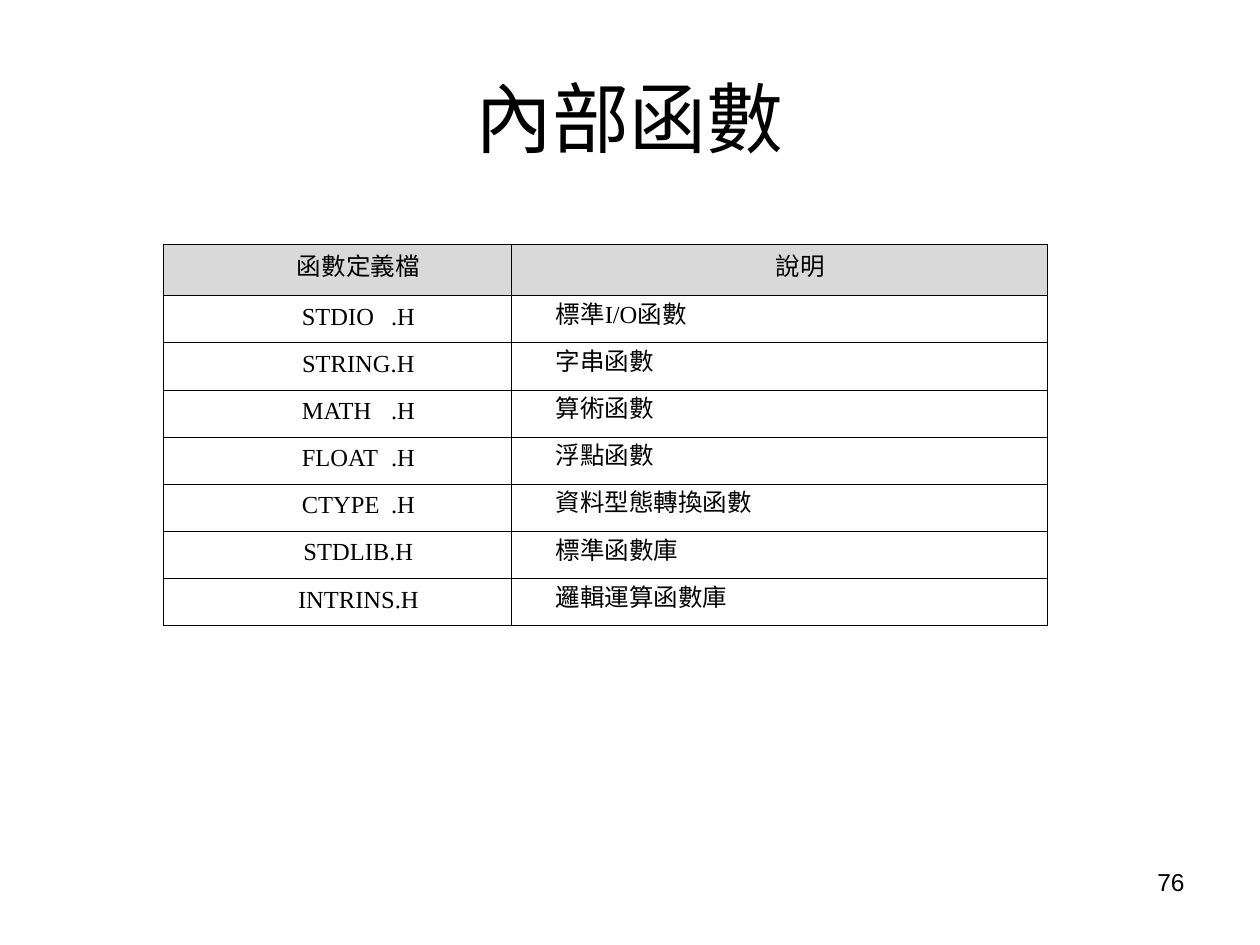
from dataclasses import dataclass
from typing import Optional

import pptx
import pptx.dml.color
import pptx.enum.text
import pptx.oxml.ns
import pptx.util
from lxml import etree
from pptx.util import Cm, Pt

Align = pptx.enum.text.PP_ALIGN
Anchor = pptx.enum.text.MSO_ANCHOR
qn = pptx.oxml.ns.qn


@dataclass(frozen=True)
class Theme:
    ink: str = "000000"
    header_fill: str = "D9D9D9"
    sans: str = "Arial"
    serif: str = "Times New Roman"
    title_size: int = 44
    text_size: int = 14
    border_width: float = 0.45


@dataclass(frozen=True)
class CellStyle:
    font: str
    align: Align
    line_spacing: int
    fill: Optional[str] = None
    tab_stop: Optional[Cm] = None


@dataclass(frozen=True)
class HeaderFile:
    name: str
    meaning: str


THEME = Theme()
HEADING = CellStyle(THEME.sans, Align.CENTER, 14, THEME.header_fill)
NAME = CellStyle(THEME.serif, Align.CENTER, 13, tab_stop=Cm(2.54))
MEANING = CellStyle(THEME.serif, Align.LEFT, 13)

HEADINGS = HeaderFile("函數定義檔", "說明")
HEADER_FILES = [
    HeaderFile("STDIO\t.H", "標準I/O函數"),
    HeaderFile("STRING.H", "字串函數"),
    HeaderFile("MATH\t.H", "算術函數"),
    HeaderFile("FLOAT\t.H", "浮點函數"),
    HeaderFile("CTYPE\t.H", "資料型態轉換函數"),
    HeaderFile("STDLIB.H", "標準函數庫"),
    HeaderFile("INTRINS.H", "邏輯運算函數庫"),
]
COLUMN_WIDTHS = [Cm(7.01), Cm(10.8)]
HEADING_HEIGHT, ROW_HEIGHT = Cm(1.03), Cm(0.95)


def set_font(paragraph, name: str, size: int) -> None:
    paragraph.font.name = name
    paragraph.font.size = Pt(size)
    paragraph.font.color.rgb = pptx.dml.color.RGBColor.from_string(THEME.ink)


def draw_borders(cell) -> None:
    properties = cell._tc.get_or_add_tcPr()
    for position, side in enumerate(("a:lnL", "a:lnR", "a:lnT", "a:lnB")):
        line = etree.Element(qn(side), w=str(Pt(THEME.border_width)))
        fill = etree.SubElement(line, qn("a:solidFill"))
        etree.SubElement(fill, qn("a:srgbClr"), val=THEME.ink)
        properties.insert(position, line)


def fill_cell(cell, text: str, style: CellStyle) -> None:
    cell.vertical_anchor = Anchor.MIDDLE
    cell.margin_left = cell.margin_right = Cm(0.05)
    cell.margin_top = cell.margin_bottom = Cm(0.13)
    if style.fill:
        cell.fill.solid()
        cell.fill.fore_color.rgb = pptx.dml.color.RGBColor.from_string(style.fill)
    else:
        cell.fill.background()
    draw_borders(cell)

    paragraph = cell.text_frame.paragraphs[0]
    paragraph.text = text
    properties = paragraph._p.get_or_add_pPr()
    properties.set("marL", str(Cm(0.1)))
    properties.set("indent", str(Cm(0.74)))
    if style.tab_stop:
        tabs = etree.SubElement(properties, qn("a:tabLst"))
        etree.SubElement(tabs, qn("a:tab"), pos=str(style.tab_stop), algn="l")
    paragraph.alignment = style.align
    paragraph.line_spacing = Pt(style.line_spacing)
    paragraph.space_after = Pt(1)
    set_font(paragraph, style.font, THEME.text_size)


def add_title(slide, text: str) -> None:
    title = slide.shapes.title
    title.left, title.top, title.width, title.height = Cm(1.27), Cm(0.76), Cm(22.86), Cm(3.18)
    title.text_frame.text = text
    title.text_frame.vertical_anchor = Anchor.MIDDLE
    paragraph = title.text_frame.paragraphs[0]
    paragraph.alignment = Align.CENTER
    set_font(paragraph, THEME.sans, THEME.title_size)


def add_function_table(slide) -> None:
    height = HEADING_HEIGHT + ROW_HEIGHT * len(HEADER_FILES)
    table = slide.shapes.add_table(
        len(HEADER_FILES) + 1, 2, Cm(3.3), Cm(4.93), sum(COLUMN_WIDTHS), height
    ).table
    table.horz_banding = False
    table.first_row = False
    for column, width in zip(table.columns, COLUMN_WIDTHS):
        column.width = width
    for index, entry in enumerate([HEADINGS, *HEADER_FILES]):
        is_heading = index == 0
        table.rows[index].height = HEADING_HEIGHT if is_heading else ROW_HEIGHT
        fill_cell(table.cell(index, 0), entry.name, HEADING if is_heading else NAME)
        fill_cell(table.cell(index, 1), entry.meaning, HEADING if is_heading else MEANING)


def add_page_number(slide, number: int) -> None:
    page_number = slide.shapes.add_textbox(Cm(18.2), Cm(17.35), Cm(5.93), Cm(1.32))
    page_number.text_frame.word_wrap = True
    paragraph = page_number.text_frame.paragraphs[0]
    paragraph.text = str(number)
    paragraph.alignment = Align.RIGHT
    set_font(paragraph, THEME.sans, THEME.text_size)


def main() -> None:
    presentation = pptx.Presentation()
    presentation.slide_width, presentation.slide_height = Cm(25.4), Cm(19.05)
    # Title Only layout
    slide = presentation.slides.add_slide(presentation.slide_layouts[5])
    add_title(slide, "內部函數")
    add_function_table(slide)
    add_page_number(slide, 76)
    presentation.save("out.pptx")


if __name__ == "__main__":
    main()
